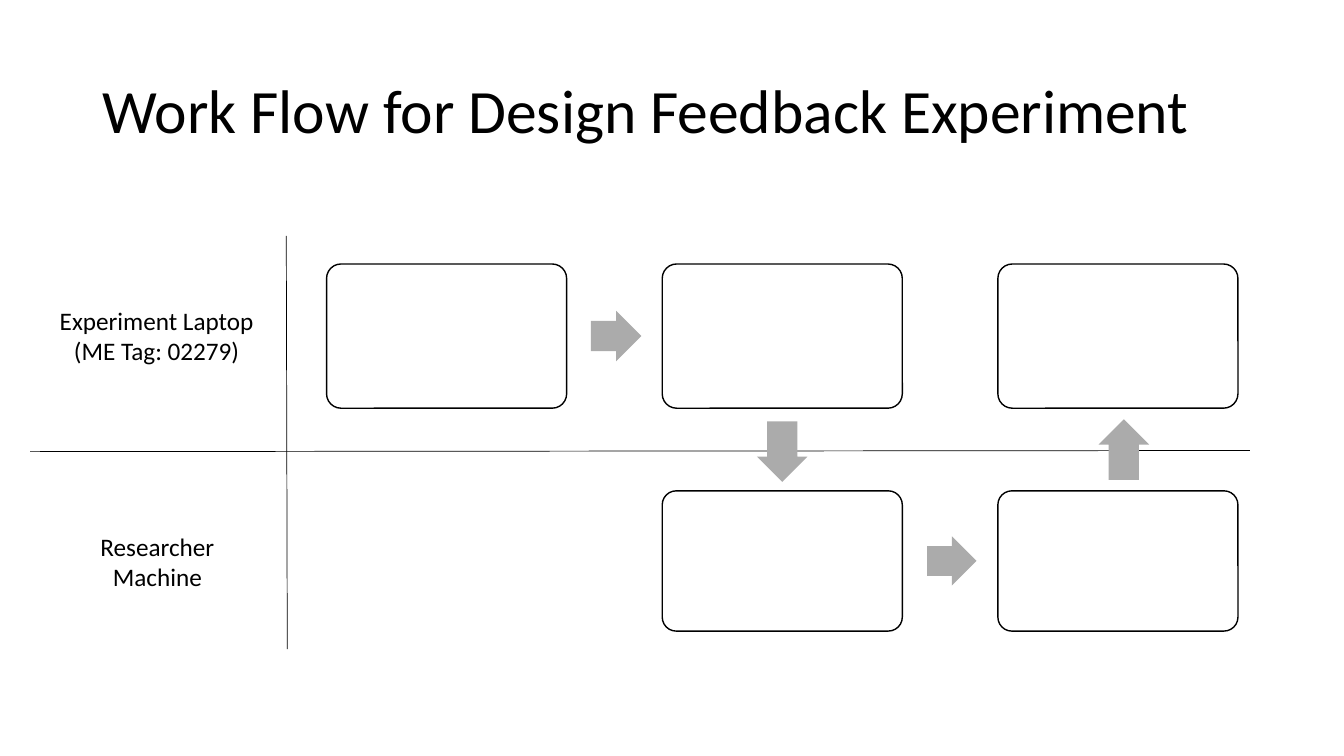
from pptx import Presentation
from pptx.dml.color import RGBColor
from pptx.enum.shapes import MSO_CONNECTOR, MSO_SHAPE
from pptx.enum.text import MSO_ANCHOR, PP_ALIGN
from pptx.oxml.ns import qn
from pptx.util import Pt
from lxml.etree import SubElement

TITLE = "Work Flow for Design Feedback Experiment"
LANES = [
    {"label": ["Experiment Laptop", "(ME Tag: 02279)"], "label_at": (32.4, 214.5, 159, 51),
     "top": 188.6, "height": 103, "steps": [0, 1, 2], "arrow_after": 0, "arrow_size": 36},
    {"label": ["Researcher", "Machine"], "label_at": (45.4, 375.8, 134, 51),
     "top": 350.6, "height": 100.2, "steps": [1, 2], "arrow_after": 1, "arrow_size": 35.3},
]
HANDOVERS = [(558.7, 322.6, 90), (802.8, 321.1, 270)]
DIVIDERS = [(21.6, 322.6, 892.8, 321.8), (204.5, 168.5, 205.2, 463.7)]
FIRST_STEP, STEP_PITCH, STEP_WIDTH = 233.3, 239.75, 171.5
ARROW_SHIFT = 1.2

presentation = Presentation()
presentation.slide_width, presentation.slide_height = Pt(960), Pt(540)
slide = presentation.slides.add_slide(presentation.slide_layouts[6])


def color(hex_code):
    return RGBColor.from_string(hex_code)


def add_text(lines, at, size=18, align=PP_ALIGN.CENTER, anchor=MSO_ANCHOR.TOP, spacing=1.0):
    frame = slide.shapes.add_textbox(*map(Pt, at)).text_frame
    frame.word_wrap = True
    frame.vertical_anchor = anchor
    for index, line in enumerate(lines):
        paragraph = frame.paragraphs[0] if index == 0 else frame.add_paragraph()
        paragraph.alignment = align
        paragraph.line_spacing = spacing
        run = paragraph.add_run()
        run.text = line
        run.font.name, run.font.size = "Calibri", Pt(size)
        run.font.color.rgb = color("000000")


def add_block(kind, at, fill, adjustments, outline=None):
    block = slide.shapes.add_shape(kind, *map(Pt, at))
    block.shadow.inherit = False
    block.fill.solid()
    block.fill.fore_color.rgb = color(fill)
    for index, value in enumerate(adjustments):
        block.adjustments[index] = value
    if outline:
        block.line.color.rgb = color(outline)
        block.line.width = Pt(1)
    else:
        block.line.fill.background()
    return block


def add_arrow(center_x, center_y, width, height, rotation=0):
    at = (center_x - width / 2, center_y - height / 2, width, height)
    add_block(MSO_SHAPE.RIGHT_ARROW, at, "ABABAB", [0.6, 0.5]).rotation = rotation


add_text([TITLE], (66.2, 28.8, 828, 104.4), size=44, align=PP_ALIGN.LEFT,
         anchor=MSO_ANCHOR.MIDDLE, spacing=0.9)

for lane in LANES:
    for step in lane["steps"]:
        left = FIRST_STEP + step * STEP_PITCH
        add_block(MSO_SHAPE.ROUNDED_RECTANGLE, (left, lane["top"], STEP_WIDTH, lane["height"]),
                  "FFFFFF", [0.1], outline="000000")
    gap_center = FIRST_STEP + lane["arrow_after"] * STEP_PITCH + (STEP_WIDTH + STEP_PITCH) / 2
    add_arrow(gap_center + ARROW_SHIFT, lane["top"] + lane["height"] / 2,
              lane["arrow_size"], lane["arrow_size"])

for ends in DIVIDERS:
    divider = slide.shapes.add_connector(MSO_CONNECTOR.STRAIGHT, *map(Pt, ends))
    divider.line.color.rgb = color("000000")
    divider.line.width = Pt(0.5)
    SubElement(divider._element.spPr, qn("a:effectLst"))

for center_x, center_y, rotation in HANDOVERS:
    add_arrow(center_x, center_y, 43.2, 36, rotation)

for lane in LANES:
    add_text(lane["label"], lane["label_at"])

presentation.save("out.pptx")
